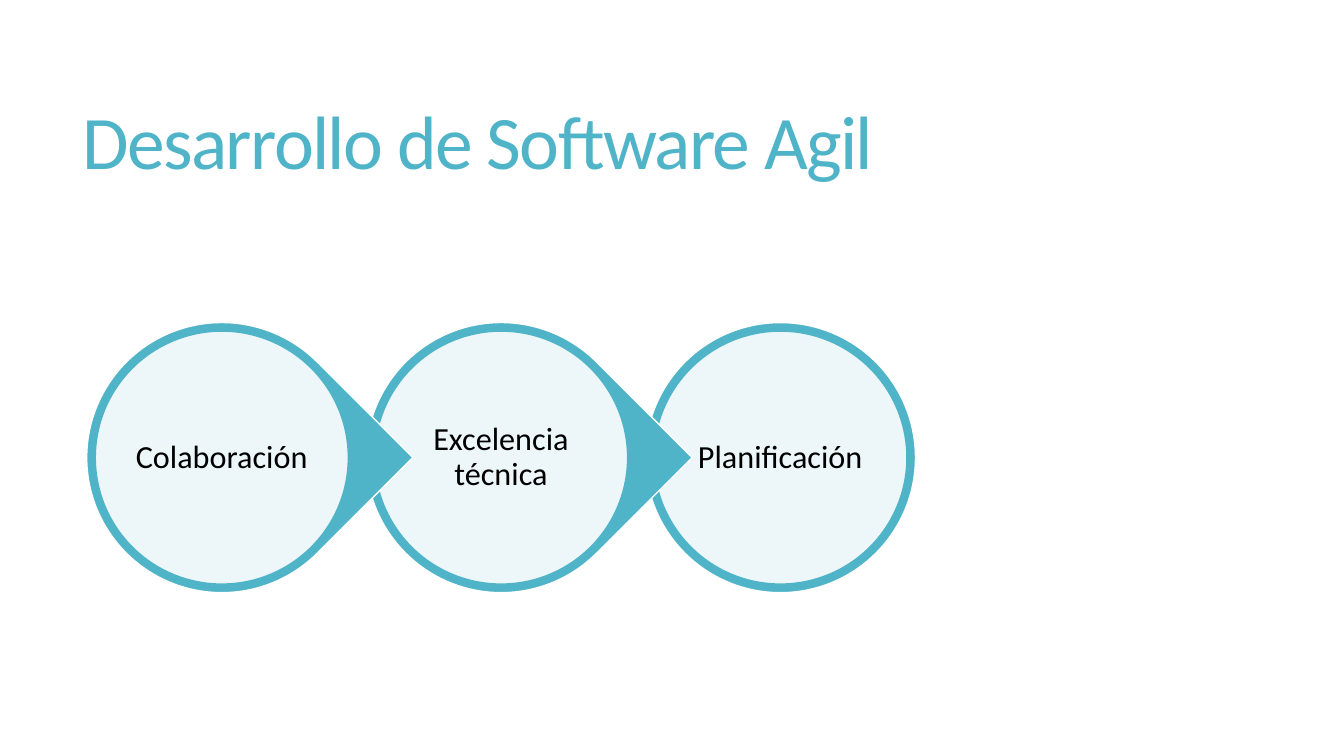
"""Build the agile software development slide with three linked circles."""
from dataclasses import dataclass

from lxml import etree
from pptx import Presentation
from pptx import util as u
from pptx.dml.color import RGBColor
from pptx.enum import shapes, text
from pptx.oxml.ns import qn

TEAL, WHITE, BLACK = "50B4C8", "FFFFFF", "000000"
FONT = "Calibri"
FIRST_LEFT, PITCH, RING_TOP = 0.86, 2.77, 3.2
RING_SIZE, DISC_SIZE, LABEL_SIZE = 2.68, 2.51, 1.8


@dataclass
class Stage:
    label: str
    ring: shapes.MSO_SHAPE = shapes.MSO_SHAPE.TEAR
    rotation: float = 45


STAGES = [
    Stage("Colaboración"),
    Stage("Excelencia técnica"),
    Stage("Planificación", shapes.MSO_SHAPE.OVAL, 0),
]


def color(hex_code: str) -> RGBColor:
    return RGBColor.from_string(hex_code)


def centered_box(left: float, size: float) -> list[u.Length]:
    inset = (RING_SIZE - size) / 2
    return [u.Inches(value) for value in (left + inset, RING_TOP + inset, size, size)]


def write(frame, words: str, *, size: float, hex_code: str, align, spacing: float,
          margin: float = 0.1, tracking: int = 0) -> None:
    frame.auto_size = text.MSO_AUTO_SIZE.NONE
    frame.word_wrap = True
    frame.vertical_anchor = text.MSO_ANCHOR.MIDDLE
    frame.margin_left = frame.margin_right = u.Inches(margin)
    frame.margin_top = frame.margin_bottom = u.Inches(min(margin, 0.05))
    paragraph = frame.paragraphs[0]
    paragraph.alignment = align
    paragraph.line_spacing = spacing
    run = paragraph.add_run()
    run.text = words
    run.font.name = FONT
    run.font.size = u.Pt(size)
    run.font.color.rgb = color(hex_code)
    if tracking:
        run.font._element.set("spc", str(tracking))


def add_circle(slide, kind, left: float, size: float, fill: str, line: str,
               alpha: int = 100):
    circle = slide.shapes.add_shape(kind, *centered_box(left, size))
    circle.shadow.inherit = False
    circle.fill.solid()
    circle.fill.fore_color.rgb = color(fill)
    circle.line.color.rgb = color(line)
    circle.line.width = u.Pt(1)
    if alpha < 100:
        fill_color = circle._element.spPr.find(qn("a:solidFill")).find(qn("a:srgbClr"))
        etree.SubElement(fill_color, qn("a:alpha"), val=str(alpha * 1000))
    return circle


def add_stage(slide, stage: Stage, left: float) -> None:
    ring = add_circle(slide, stage.ring, left, RING_SIZE, TEAL, WHITE)
    ring.rotation = stage.rotation
    add_circle(slide, shapes.MSO_SHAPE.OVAL, left, DISC_SIZE, WHITE, TEAL, alpha=90)
    label = slide.shapes.add_textbox(*centered_box(left, LABEL_SIZE))
    write(label.text_frame, stage.label, size=23, hex_code=BLACK,
          align=text.PP_ALIGN.CENTER, spacing=0.9, margin=0.03)


def main() -> None:
    deck = Presentation()
    deck.slide_width, deck.slide_height = u.Inches(13.33), u.Inches(7.5)
    slide = deck.slides.add_slide(deck.slide_layouts[5])

    for position, stage in reversed(list(enumerate(STAGES))):
        add_stage(slide, stage, FIRST_LEFT + position * PITCH)

    title = slide.shapes.title
    title.left, title.top = u.Inches(0.72), u.Inches(0.55)
    title.width, title.height = u.Inches(11.78), u.Inches(1.81)
    write(title.text_frame, "Desarrollo de Software Agil", size=54, hex_code=TEAL,
          align=text.PP_ALIGN.LEFT, spacing=0.85, tracking=-120)
    deck.save("out.pptx")


if __name__ == "__main__":
    main()
